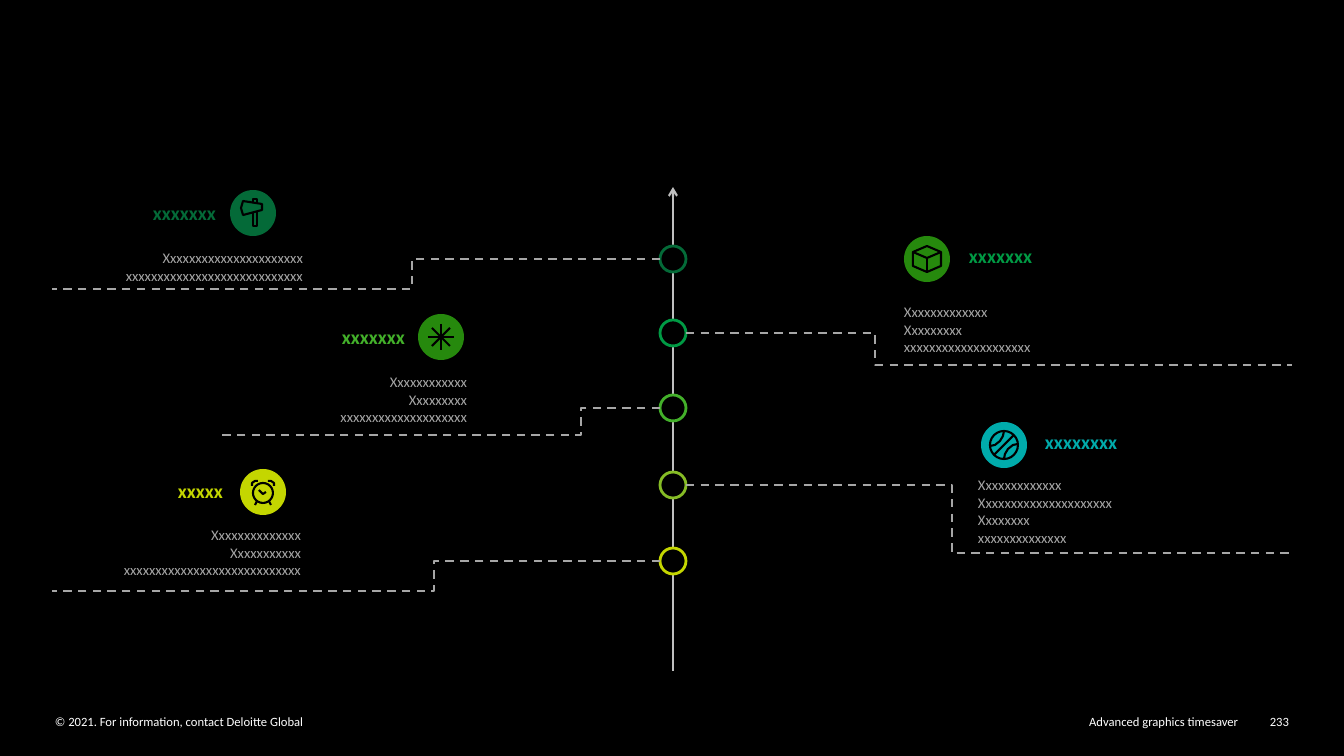
from dataclasses import dataclass

from pptx import Presentation
from pptx.dml.color import RGBColor
from pptx.enum.dml import MSO_LINE
from pptx.enum.shapes import MSO_CONNECTOR, MSO_SHAPE
from pptx.enum.text import MSO_AUTO_SIZE, PP_ALIGN
from pptx.oxml.ns import qn
from pptx.oxml.xmlchemy import OxmlElement as make_element
from pptx.util import Emu, Pt

EMU_PER_PX = 914400 / 100.8
AXIS_X = 673
RING_RADIUS = 13
DISC_RADIUS = 23
LEFT, RIGHT = PP_ALIGN.LEFT, PP_ALIGN.RIGHT


@dataclass(frozen=True)
class Theme:
    font: str = "Calibri"
    background: str = "000000"
    footer: str = "FFFFFF"
    axis: str = "BFBFBF"
    muted: str = "A6A6A6"
    forest: str = "046A38"
    emerald: str = "009A44"
    leaf: str = "43B02A"
    moss: str = "26890D"
    olive: str = "86BC25"
    lime: str = "C4D600"
    teal: str = "00ABAB"
    heading_size: float = 14
    detail_size: float = 10.5
    footer_size: float = 9


THEME = Theme()


@dataclass(frozen=True)
class Glyph:
    """Strokes and (x, y, radius) circles, measured from the disc centre."""
    strokes: tuple
    circles: tuple = ()


AXE = Glyph((
    ((-10, -12), (9, -9), (9, -3), (-10, 2), (-12, -5), (-10, -12)),
    ((0, -1), (0, 13), (4, 13), (4, -1)),
    ((0, -11), (0, -14), (4, -14), (4, -10)),
))
CUBE = Glyph((
    ((0, -13), (14, -7), (14, 7), (0, 13), (-14, 7), (-14, -7), (0, -13)),
    ((-14, -7), (0, -1), (14, -7)),
    ((0, -1), (0, 13)),
))
STAR = Glyph((
    ((-13, 0), (13, 0)),
    ((0, -13), (0, 13)),
    ((-9, -9), (9, 9)),
    ((-9, 9), (9, -9)),
))
CLOCK = Glyph((
    ((-4, -2), (0, 2), (3, 0)),
    ((-6, 9), (-8, 13)),
    ((6, 9), (8, 13)),
    ((-11, -6), (-11, -9), (-8, -11), (-5, -11)),
    ((11, -6), (11, -9), (8, -11), (5, -11)),
), ((0, 1, 10),))
BALL = Glyph((
    ((-10, 10), (10, -10)),
    ((-14, 1), (-9, 0), (-4, -4), (-1, -9), (0, -14)),
    ((14, -1), (9, 0), (4, 4), (1, 9), (0, 14)),
), ((0, 0, 14),))


@dataclass(frozen=True)
class Milestone:
    ring_y: int
    ring_colour: str
    bend_x: int
    branch_end: tuple
    glyph: Glyph
    disc_centre: tuple
    disc_colour: str
    heading: str
    heading_colour: str
    heading_box: tuple
    details: tuple
    details_box: tuple


MILESTONES = (
    Milestone(259, THEME.forest, 412, (52, 289), AXE, (253, 213), THEME.forest,
              "xxxxxxx", THEME.forest, (75, 198, 146, 29),
              ("Xxxxxxxxxxxxxxxxxxxxxx", "xxxxxxxxxxxxxxxxxxxxxxxxxxxx"),
              (47, 246, 261, 40)),
    Milestone(333, THEME.emerald, 875, (1292, 365), CUBE, (927, 259), THEME.moss,
              "xxxxxxx", THEME.emerald, (964, 241, 131, 29),
              ("Xxxxxxxxxxxxx", "Xxxxxxxxx", "xxxxxxxxxxxxxxxxxxxx"),
              (899, 300, 399, 58)),
    Milestone(408, THEME.leaf, 581, (217, 435), STAR, (441, 337), THEME.moss,
              "xxxxxxx", THEME.leaf, (225, 322, 185, 29),
              ("Xxxxxxxxxxxx", "Xxxxxxxxx", "xxxxxxxxxxxxxxxxxxxx"),
              (211, 370, 261, 58)),
    Milestone(485, THEME.olive, 952, (1290, 553), BALL, (1004, 445), THEME.teal,
              "xxxxxxxx", THEME.teal, (1040, 427, 131, 29),
              ("Xxxxxxxxxxxxx", "Xxxxxxxxxxxxxxxxxxxxx", "Xxxxxxxx",
               "xxxxxxxxxxxxxx"),
              (973, 473, 321, 77)),
    Milestone(561, THEME.lime, 434, (52, 591), CLOCK, (263, 492), THEME.lime,
              "xxxxx", THEME.lime, (97, 476, 131, 29),
              ("Xxxxxxxxxxxxxx", "Xxxxxxxxxxx", "xxxxxxxxxxxxxxxxxxxxxxxxxxxx"),
              (45, 523, 261, 58)),
)


def px(length):
    return Emu(round(length * EMU_PER_PX))


def rgb(colour):
    return RGBColor.from_string(colour)


def set_line(shape, colour, width):
    shape.line.color.rgb = rgb(colour)
    shape.line.width = Pt(width)


def add_text(slide, box, lines, size, colour, align, bold=False, inset=(5, 3)):
    textbox = slide.shapes.add_textbox(*map(px, box))
    frame = textbox.text_frame
    frame.word_wrap = True
    frame.auto_size = MSO_AUTO_SIZE.SHAPE_TO_FIT_TEXT
    frame.margin_left = frame.margin_right = px(inset[0])
    frame.margin_top = frame.margin_bottom = px(inset[1])
    for index, line in enumerate(lines):
        paragraph = frame.add_paragraph() if index else frame.paragraphs[0]
        paragraph.alignment = align
        run = paragraph.add_run()
        run.text = line
        run.font.name = THEME.font
        run.font.size = Pt(size)
        run.font.bold = bold
        run.font.color.rgb = rgb(colour)


def add_circle(slide, centre, radius, fill=None, outline=None, width=2):
    x, y = centre
    circle = slide.shapes.add_shape(
        MSO_SHAPE.OVAL, px(x - radius), px(y - radius), px(2 * radius), px(2 * radius))
    circle.shadow.inherit = False
    if fill:
        circle.fill.solid()
        circle.fill.fore_color.rgb = rgb(fill)
    else:
        circle.fill.background()
    if outline:
        set_line(circle, outline, width)
    else:
        circle.line.fill.background()


def add_line(slide, kind, start, end, colour):
    line = slide.shapes.add_connector(kind, *map(px, (*start, *end)))
    set_line(line, colour, 1.5)
    line._element.spPr.append(make_element("a:effectLst"))
    return line


def add_axis(slide):
    axis = add_line(slide, MSO_CONNECTOR.STRAIGHT, (AXIS_X, 671), (AXIS_X, 187), THEME.axis)
    arrowhead = make_element("a:tailEnd")
    arrowhead.set("type", "arrow")
    axis.line._get_or_add_ln().append(arrowhead)


def add_branch(slide, start, bend_x, end):
    """Dashed elbow whose vertical step stands at bend_x."""
    branch = add_line(slide, MSO_CONNECTOR.ELBOW, start, end, THEME.muted)
    branch.line.dash_style = MSO_LINE.DASH
    bend = make_element("a:gd")
    bend.set("name", "adj1")
    share = (bend_x - start[0]) / (end[0] - start[0])
    bend.set("fmla", f"val {round(share * 100000)}")
    branch._element.spPr.find(".//" + qn("a:avLst")).append(bend)


def add_icon(slide, glyph, centre, colour):
    add_circle(slide, centre, DISC_RADIUS, fill=colour)
    cx, cy = centre
    for x, y, radius in glyph.circles:
        add_circle(slide, (cx + x, cy + y), radius, outline=THEME.background, width=1.5)
    for stroke in glyph.strokes:
        first, *rest = [(cx + x, cy + y) for x, y in stroke]
        builder = slide.shapes.build_freeform(*first, scale=EMU_PER_PX)
        builder.add_line_segments(rest, close=False)
        outline = builder.convert_to_shape()
        outline.shadow.inherit = False
        outline.fill.background()
        set_line(outline, THEME.background, 1.5)


def add_milestone(slide, item):
    on_left = item.bend_x < AXIS_X
    align = RIGHT if on_left else LEFT
    ring_edge = AXIS_X + (-RING_RADIUS if on_left else RING_RADIUS)
    add_circle(slide, (AXIS_X, item.ring_y), RING_RADIUS, THEME.background, item.ring_colour)
    add_branch(slide, (ring_edge, item.ring_y), item.bend_x, item.branch_end)
    add_text(slide, item.details_box, item.details, THEME.detail_size, THEME.muted, align)
    add_text(slide, item.heading_box, [item.heading], THEME.heading_size,
             item.heading_colour, align, bold=True)
    add_icon(slide, item.glyph, item.disc_centre, item.disc_colour)


def add_footer(slide):
    for left, width, words, align in (
        (55, 591, "© 2021. For information, contact Deloitte Global", LEFT),
        (699, 539, "Advanced graphics timesaver", RIGHT),
        (1255, 34, "233", RIGHT),
    ):
        add_text(slide, (left, 714, width, 15), [words], THEME.footer_size,
                 THEME.footer, align, inset=(0, 0))


def main():
    deck = Presentation()
    deck.slide_width, deck.slide_height = px(1344), px(756)
    slide = deck.slides.add_slide(deck.slide_layouts[6])
    slide.background.fill.solid()
    slide.background.fill.fore_color.rgb = rgb(THEME.background)
    add_footer(slide)
    add_axis(slide)
    for item in MILESTONES:
        add_milestone(slide, item)
    deck.save("out.pptx")


if __name__ == "__main__":
    main()
